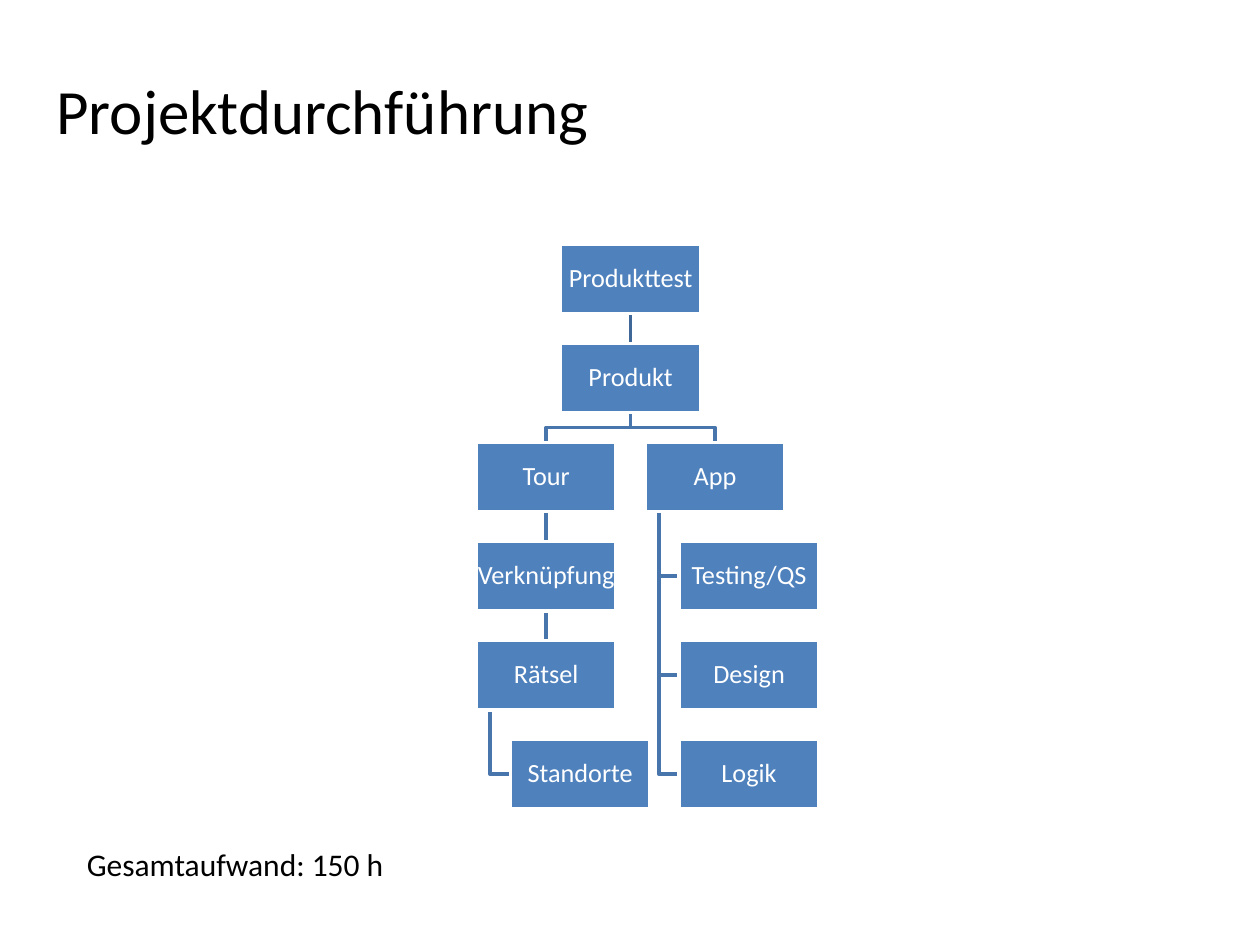
"""Build the project execution slide with its product breakdown chart."""
import pptx
import pptx.dml.color
import pptx.enum.shapes
import pptx.enum.text
import pptx.oxml
import pptx.util
from pptx.util import Inches

BLACK = pptx.dml.color.RGBColor(0x00, 0x00, 0x00)
WHITE = pptx.dml.color.RGBColor(0xFF, 0xFF, 0xFF)
BOX_BLUE = pptx.dml.color.RGBColor(0x4F, 0x81, 0xBD)
BRANCH_BLUE = pptx.dml.color.RGBColor(0x48, 0x75, 0xAC)
TRUNK_BLUE = pptx.dml.color.RGBColor(0x3F, 0x67, 0x97)

FONT = "Calibri"
LINE_WIDTH = pptx.util.Pt(2)
BOX_WIDTH, BOX_HEIGHT = Inches(1.11), Inches(0.55)
FIRST_TOP, LAST_TOP, ROW_COUNT = 1.94, 5.87, 6
ROW_PITCH = (LAST_TOP - FIRST_TOP) / (ROW_COUNT - 1)
STEM_INSET = Inches(0.11)

BOXES = [
    ("Produkttest", 4.45, 0),
    ("Produkt", 4.45, 1),
    ("Tour", 3.78, 2),
    ("Verknüpfung", 3.78, 3),
    ("Rätsel", 3.78, 4),
    ("Standorte", 4.05, 5),
    ("App", 5.12, 2),
    ("Testing/QS", 5.39, 3),
    ("Design", 5.39, 4),
    ("Logik", 5.39, 5),
]
STRAIGHT_LINKS = [
    ("Produkttest", "Produkt", TRUNK_BLUE),
    ("Tour", "Verknüpfung", BRANCH_BLUE),
    ("Verknüpfung", "Rätsel", BRANCH_BLUE),
]
FORK_LINKS = [("Produkt", "Tour"), ("Produkt", "App")]
HANGING_LINKS = [
    ("Rätsel", "Standorte"),
    ("App", "Testing/QS"),
    ("App", "Design"),
    ("App", "Logik"),
]


def format_text(text_frame, text, size, color):
    """Set the text and format its run."""
    text_frame.text = text
    font = text_frame.paragraphs[0].runs[0].font
    font.name = FONT
    font.size = pptx.util.Pt(size)
    font.color.rgb = color


def add_label(slide, text, left, top, width, height, size):
    """Add a plain black text box."""
    shape = slide.shapes.add_textbox(
        Inches(left), Inches(top), Inches(width), Inches(height))
    shape.text_frame.word_wrap = True
    format_text(shape.text_frame, text, size, BLACK)


def add_box(slide, text, left, row):
    """Add one box of the chart in the given row."""
    shape = slide.shapes.add_shape(
        pptx.enum.shapes.MSO_SHAPE.RECTANGLE, Inches(left),
        Inches(FIRST_TOP + row * ROW_PITCH), BOX_WIDTH, BOX_HEIGHT)
    shape.shadow.inherit = False
    shape.fill.solid()
    shape.fill.fore_color.rgb = BOX_BLUE
    shape.line.color.rgb = WHITE
    shape.line.width = LINE_WIDTH
    frame = shape.text_frame
    frame.word_wrap = False
    frame.vertical_anchor = pptx.enum.text.MSO_ANCHOR.MIDDLE
    frame.margin_left = frame.margin_right = Inches(0.01)
    frame.margin_top = frame.margin_bottom = Inches(0.01)
    format_text(frame, text, 15, WHITE)
    paragraph = frame.paragraphs[0]
    paragraph.alignment = pptx.enum.text.PP_ALIGN.CENTER
    paragraph.line_spacing = 0.9
    return shape


def style_link(link, color, front_shape):
    """Color a link and place it behind the given shape."""
    link.line.color.rgb = color
    link.line.width = LINE_WIDTH
    front_shape.element.addprevious(link.element)


def add_straight_link(slide, parent, child, color, front_shape):
    """Join the bottom of the parent to the top of the child."""
    connector = slide.shapes.add_connector(
        pptx.enum.shapes.MSO_CONNECTOR.STRAIGHT, 0, 0, 0, 0)
    connector.begin_connect(parent, 2)
    connector.end_connect(child, 0)
    style_link(connector, color, front_shape)
    connector.element.spPr.append(
        pptx.oxml.parse_xml(
            '<a:effectLst xmlns:a='
            '"http://schemas.openxmlformats.org/drawingml/2006/main"/>'))


def add_bent_link(slide, points, front_shape):
    """Draw an open line through the points."""
    builder = slide.shapes.build_freeform(*points[0])
    builder.add_line_segments(points[1:], close=False)
    shape = builder.convert_to_shape()
    shape.shadow.inherit = False
    shape.fill.background()
    style_link(shape, BRANCH_BLUE, front_shape)


def fork_points(parent, child):
    """Return the corners from the parent's bottom to the child's top."""
    start_x = parent.left + parent.width // 2
    end_x = child.left + child.width // 2
    bottom = parent.top + parent.height
    middle = (bottom + child.top) // 2
    return [(start_x, bottom), (start_x, middle),
            (end_x, middle), (end_x, child.top)]


def hanging_points(parent, child):
    """Return the corners from the parent's stem to the child's left side."""
    stem = parent.left + STEM_INSET
    middle = child.top + child.height // 2
    return [(stem, parent.top + parent.height), (stem, middle),
            (child.left, middle)]


def add_chart_tree(slide):
    """Add all boxes and the links behind them."""
    boxes = {text: add_box(slide, text, left, row)
             for text, left, row in BOXES}
    back_box = boxes["Produkttest"]
    for parent, child, color in STRAIGHT_LINKS:
        add_straight_link(slide, boxes[parent], boxes[child], color, back_box)
    for links, find_points in ((FORK_LINKS, fork_points),
                               (HANGING_LINKS, hanging_points)):
        for parent, child in links:
            add_bent_link(
                slide, find_points(boxes[parent], boxes[child]), back_box)


def main():
    """Create and save the presentation."""
    presentation = pptx.Presentation()
    presentation.slide_width = Inches(10)
    presentation.slide_height = Inches(7.5)
    slide = presentation.slides.add_slide(presentation.slide_layouts[6])
    add_label(slide, "Projektdurchführung", 0.35, 0.52, 5.43, 0.71, 36)
    add_chart_tree(slide)
    add_label(slide, "Gesamtaufwand: 150 h", 0.59, 6.66, 5.75, 0.4, 18)
    presentation.save("out.pptx")


if __name__ == "__main__":
    main()
